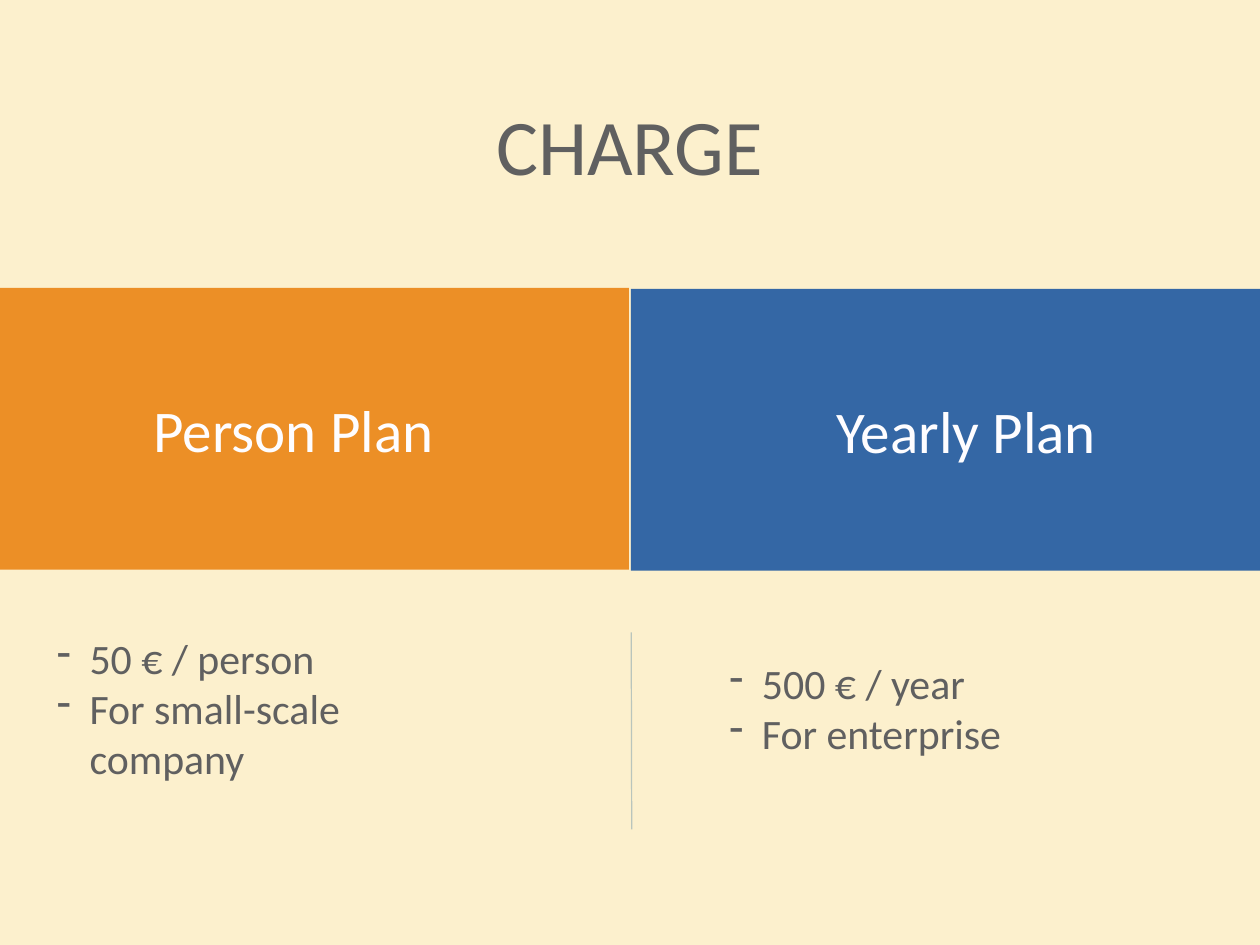
from lxml import etree
from pptx import Presentation
from pptx import util as u
from pptx.dml.color import RGBColor
from pptx.enum import shapes, text
from pptx.oxml import ns

CREAM = RGBColor(0xFC, 0xF0, 0xCD)
ORANGE = RGBColor(0xEC, 0x8F, 0x26)
BLUE = RGBColor(0x34, 0x67, 0xA5)
WHITE = RGBColor(0xFE, 0xFD, 0xFF)
GREY = RGBColor(0x60, 0x60, 0x60)
RULE = RGBColor(0xB9, 0xC5, 0xBC)


class SlideBuilder:
    font_name = "Calibri"
    inset = u.Pt(3)
    bullet_indent = u.Pt(26.6)

    def __init__(self, slide):
        self.slide = slide

    def background(self, color):
        fill = self.slide.background.fill
        fill.solid()
        fill.fore_color.rgb = color

    def frame(self, shape, wrap=True):
        frame = shape.text_frame
        frame.word_wrap = wrap
        frame.vertical_anchor = text.MSO_ANCHOR.MIDDLE
        frame.margin_left = frame.margin_right = self.inset
        frame.margin_top = frame.margin_bottom = self.inset
        return frame

    def add_words(self, paragraph, words, size, color, align):
        paragraph.alignment = align
        run = paragraph.add_run()
        run.text = words
        run.font.name = self.font_name
        run.font.size = u.Pt(size)
        run.font.color.rgb = color

    def title(self, words, box):
        shape = self.slide.shapes.add_textbox(*map(u.Pt, box))
        paragraph = self.frame(shape).paragraphs[0]
        paragraph.line_spacing = 0.9
        self.add_words(paragraph, words, 64, GREY, text.PP_ALIGN.CENTER)

    def panel(self, words, box, color):
        shape = self.slide.shapes.add_shape(shapes.MSO_SHAPE.RECTANGLE, *map(u.Pt, box))
        shape.shadow.inherit = False
        shape.fill.solid()
        shape.fill.fore_color.rgb = color
        shape.line.fill.background()
        paragraph = self.frame(shape).paragraphs[0]
        self.add_words(paragraph, words, 48, WHITE, text.PP_ALIGN.CENTER)

    def bullets(self, items, box, wrap):
        shape = self.slide.shapes.add_textbox(*map(u.Pt, box))
        frame = self.frame(shape, wrap)
        frame.auto_size = text.MSO_AUTO_SIZE.SHAPE_TO_FIT_TEXT
        for index, item in enumerate(items):
            paragraph = frame.add_paragraph() if index else frame.paragraphs[0]
            properties = paragraph._p.get_or_add_pPr()
            properties.set("marL", str(int(self.bullet_indent)))
            properties.set("indent", str(-int(self.bullet_indent)))
            etree.SubElement(properties, ns.qn("a:buChar"), char="-")
            self.add_words(paragraph, item, 34, GREY, text.PP_ALIGN.LEFT)

    def divider(self, start, end, color):
        connector = self.slide.shapes.add_connector(
            shapes.MSO_CONNECTOR.STRAIGHT, *map(u.Pt, start + end))
        connector.line.color.rgb = color
        connector.line.width = u.Pt(1)
        etree.SubElement(connector._element.spPr, ns.qn("a:effectLst"))


def main():
    presentation = Presentation()
    presentation.slide_width = u.Pt(1024)
    presentation.slide_height = u.Pt(768)
    builder = SlideBuilder(presentation.slides.add_slide(presentation.slide_layouts[6]))
    builder.background(CREAM)

    # Plan panels, running past the slide's side edges
    builder.panel("Yearly Plan", (512.8, 234.8, 545, 229), BLUE)
    builder.panel("Person Plan", (-33.8, 234, 545, 229), ORANGE)

    # Plan details
    builder.divider((513, 514), (513.4, 674), RULE)
    builder.bullets(["50 € / person", "For small-scale company"], (43.2, 533, 366, 84), True)
    builder.bullets(["500 € / year", "For enterprise"], (589.7, 533, 232.6, 84), False)

    # Heading
    builder.title("CHARGE", (157.7, 65.5, 708, 112.3))

    presentation.save("out.pptx")


if __name__ == "__main__":
    main()
